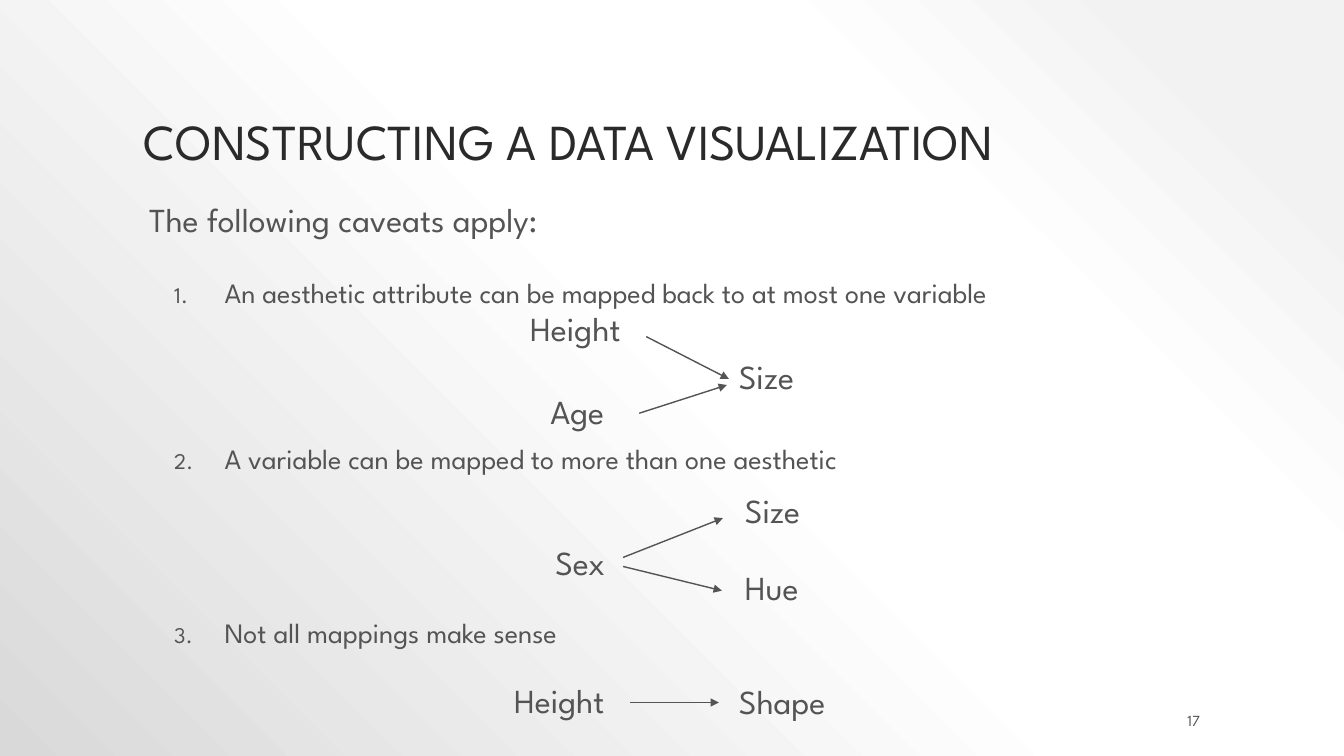
"""Build the slide on caveats when constructing a data visualization."""
from pptx import Presentation
from pptx.dml.color import RGBColor
from pptx.enum import shapes, text
from pptx.oxml import parse_xml
from pptx.oxml.ns import nsdecls, qn
from pptx.util import Inches, Pt

FONT = "League Spartan"
DARK = RGBColor(0x2A, 0x2A, 0x2A)
GRAY = RGBColor(0x54, 0x54, 0x54)
GRADIENT = [(10, "F2F2F2"), (28, "FFFFFF"), (48, "FFFFFF"), (100, "D9D9D9")]

TITLE = "CONSTRUCTING A DATA VISUALIZATION"
INTRO = "The following caveats apply:"
CAVEATS = [
    ("An aesthetic attribute can be mapped back to at most one variable", 31),
    ("A variable can be mapped to more than one aesthetic", 99),
    ("Not all mappings make sense", 105),
]
LABELS = [
    ("Height", 5.16, 3.05, 1.26),
    ("Age", 5.36, 3.87, 0.9),
    ("Size", 7.23, 3.53, 0.8),
    ("Sex", 5.41, 5.37, 0.75),
    ("Size", 7.29, 4.86, 0.8),
    ("Hue", 7.29, 5.62, 0.86),
    ("Height", 5, 6.74, 1.26),
    ("Shape", 7.23, 6.75, 1.25),
]
ARROWS = [
    (6.41, 3.34, 7.23, 3.76),
    (6.34, 4.1, 7.21, 3.82),
    (6.18, 5.53, 7.17, 5.14),
    (6.18, 5.62, 7.16, 5.86),
    (6.25, 6.97, 7.13, 6.97),
]


def set_background(s):
    s.background.fill.gradient()
    old = s._element.find(".//" + qn("a:gradFill"))
    stops = "".join(
        f'<a:gs pos="{pos * 1000}"><a:srgbClr val="{color}"/></a:gs>'
        for pos, color in GRADIENT)
    old.getparent().replace(old, parse_xml(
        f'<a:gradFill rotWithShape="1" {nsdecls("a")}><a:gsLst>{stops}</a:gsLst>'
        '<a:path path="circle"><a:fillToRect l="100000" b="100000"/></a:path>'
        '</a:gradFill>'))


def write(p, words, size=24, color=GRAY, spacing=0.9, before=0,
          align=text.PP_ALIGN.LEFT):
    p.alignment = align
    p.line_spacing = spacing
    p.space_before = Pt(before)
    r = p.add_run()
    r.text = words
    r.font.name = FONT
    r.font.size = Pt(size)
    r.font.color.rgb = color


def add_box(s, left, top, width, height, anchor=text.MSO_ANCHOR.TOP, wrap=True):
    tf = s.shapes.add_textbox(*map(Inches, (left, top, width, height))).text_frame
    tf.word_wrap = wrap
    tf.vertical_anchor = anchor
    return tf


def indent(p, left, hanging=0):
    pPr = p._p.get_or_add_pPr()
    pPr.set("marL", str(Inches(left)))
    pPr.set("indent", str(-Inches(hanging)))
    return pPr


def add_number(p):
    pPr = indent(p, 0.8, 0.5)
    for xml in (f'<a:buClr {nsdecls("a")}><a:srgbClr val="{GRAY}"/></a:buClr>',
                f'<a:buSzPct {nsdecls("a")} val="80000"/>',
                f'<a:buFont {nsdecls("a")} typeface="{FONT}"/>',
                f'<a:buAutoNum {nsdecls("a")} type="arabicPeriod"/>'):
        pPr.append(parse_xml(xml))


def add_arrow(s, *ends):
    sp = s.shapes.add_connector(shapes.MSO_CONNECTOR.STRAIGHT, *map(Inches, ends))
    sp.line.color.rgb = GRAY
    sp.line.width = Pt(1)
    sp.line._get_or_add_ln().append(
        parse_xml(f'<a:tailEnd {nsdecls("a")} type="triangle"/>'))
    sp._element.spPr.append(parse_xml(f'<a:effectLst {nsdecls("a")}/>'))


def main():
    prs = Presentation()
    prs.slide_width, prs.slide_height = Inches(13.33), Inches(7.5)
    s = prs.slides.add_slide(prs.slide_layouts[6])
    set_background(s)

    title = add_box(s, 1.33, 0.3, 10.67, 1.45, text.MSO_ANCHOR.BOTTOM)
    write(title.paragraphs[0], TITLE, size=36, color=DARK)

    body = add_box(s, 1.33, 2, 10.67, 4.75)
    indent(body.paragraphs[0], 0.05)
    write(body.paragraphs[0], INTRO, spacing=0.8)
    for words, before in CAVEATS:
        p = body.add_paragraph()
        write(p, words, size=20, spacing=0.8, before=before)
        add_number(p)

    for words, left, top, width in LABELS:
        tf = add_box(s, left, top, width, 0.46, wrap=False)
        tf.auto_size = text.MSO_AUTO_SIZE.SHAPE_TO_FIT_TEXT
        write(tf.paragraphs[0], words)
    for ends in ARROWS:
        add_arrow(s, *ends)

    number = add_box(s, 10.75, 7.05, 1.25, 0.2, text.MSO_ANCHOR.MIDDLE)
    write(number.paragraphs[0], "17", size=11, spacing=1.0,
          align=text.PP_ALIGN.RIGHT)
    prs.save("out.pptx")


if __name__ == "__main__":
    main()
